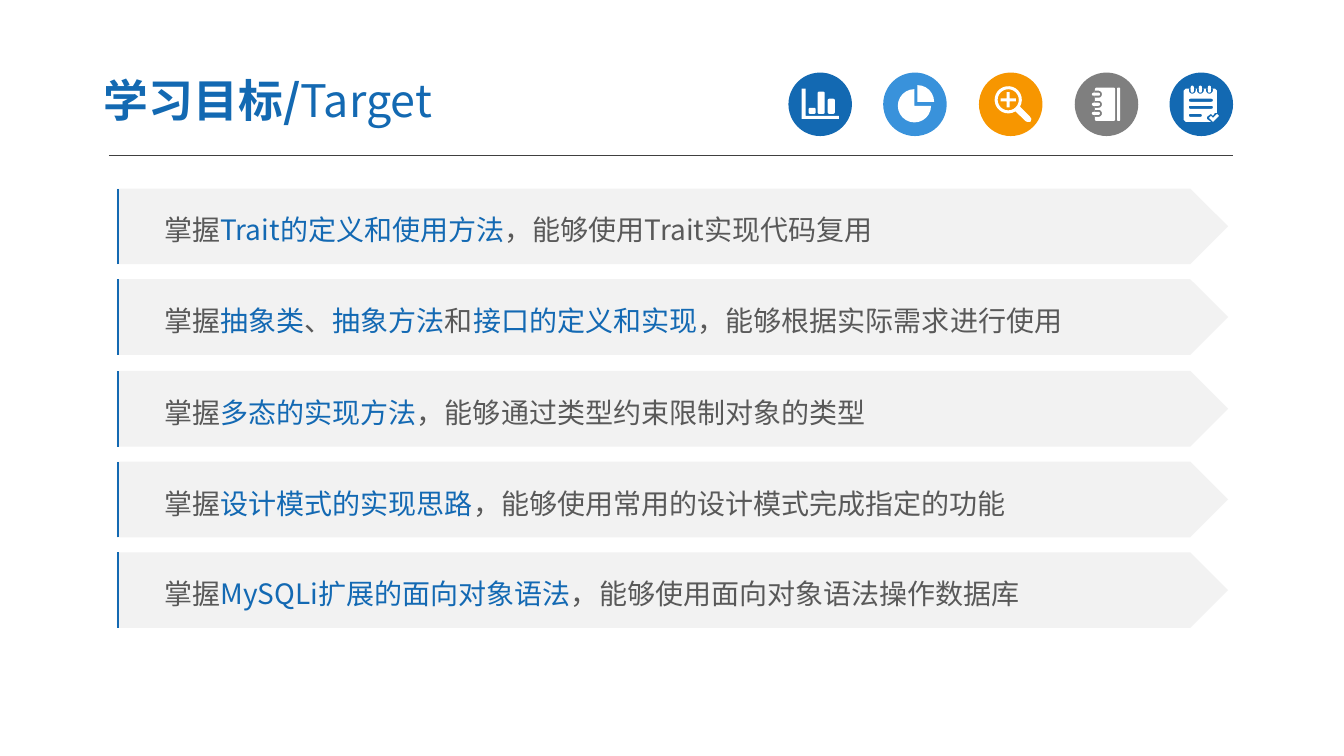
import math

import pptx
import pptx.util
import pptx.dml.color
import pptx.oxml.ns
import pptx.enum.shapes
import pptx.enum.text
from lxml import etree

SCALE = 9144  # EMU per px, 100 px to the inch
FINE = 100  # outline units per px
FONT = "Noto Sans CJK SC"
BLUE, TEXT_BLUE, LIGHT_BLUE = "1369B2", "1369B3", "3992DB"
ORANGE, GRAY, TEXT_GRAY = "F79600", "7F7F7F", "595959"
PALE, WHITE, RULE = "F2F2F2", "FFFFFF", "404040"
PRESET = pptx.enum.shapes.MSO_SHAPE

# Runs between asterisks are emphasised in blue.
TARGETS = [
    "掌握*Trait的定义和使用方法*，能够使用Trait实现代码复用",
    "掌握*抽象类*、*抽象方法*和*接口的定义和实现*，能够根据实际需求进行使用",
    "掌握*多态的实现方法*，能够通过类型约束限制对象的类型",
    "掌握*设计模式的实现思路*，能够使用常用的设计模式完成指定的功能",
    "掌握*MySQLi扩展的面向对象语法*，能够使用面向对象语法操作数据库",
]


def px(length):
    return pptx.util.Emu(length * SCALE)


def rgb(colour):
    return pptx.dml.color.RGBColor.from_string(colour)


def paint(shape, colour):
    """Give a shape a flat fill with no outline or shadow."""
    shape.shadow.inherit = False
    shape.fill.solid()
    shape.fill.fore_color.rgb = rgb(colour)
    shape.line.fill.background()


def add_preset(shapes, preset, box, colour):
    shape = shapes.add_shape(preset, *map(px, box))
    paint(shape, colour)
    return shape


def stroke(shape, colour, width):
    shape.line.color.rgb = rgb(colour)
    shape.line.width = pptx.util.Pt(width)


def add_rule(slide):
    rule = slide.shapes.add_connector(
        pptx.enum.shapes.MSO_CONNECTOR.STRAIGHT,
        *map(px, (108, 154, 1223, 154)))
    stroke(rule, RULE, 0.75)
    etree.SubElement(rule._element.spPr, pptx.oxml.ns.qn("a:effectLst"))


def add_run(paragraph, text, size, colour, bold=False):
    run = paragraph.add_run()
    run.text = text
    run.font.name = FONT
    run.font.size = pptx.util.Pt(size)
    run.font.bold = bold
    run.font.color.rgb = rgb(colour)
    east_asian = etree.SubElement(run.font._element, pptx.oxml.ns.qn("a:ea"))
    east_asian.set("typeface", FONT)


def set_frame(frame, left, top, right, bottom):
    """Wrap the text, centre it vertically and set its margins."""
    frame.word_wrap = True
    frame.vertical_anchor = pptx.enum.text.MSO_ANCHOR.MIDDLE
    frame.margin_left, frame.margin_top = px(left), px(top)
    frame.margin_right, frame.margin_bottom = px(right), px(bottom)


def add_title(slide):
    frame = slide.shapes.add_textbox(*map(px, (89, 63, 522, 72))).text_frame
    set_frame(frame, 14, 7, 13, 7)
    add_run(frame.paragraphs[0], "学习目标/", 32, BLUE, bold=True)
    add_run(frame.paragraphs[0], "Target", 32, BLUE)


def add_target(slide, top, text):
    height = 75
    banner = add_preset(slide.shapes, PRESET.PENTAGON,
                        (116, top, 1102, height), PALE)
    set_frame(banner.text_frame, 47, 5, 10, 5)
    paragraph = banner.text_frame.paragraphs[0]
    paragraph.alignment = pptx.enum.text.PP_ALIGN.LEFT
    paragraph.line_spacing = 1.2
    for index, part in enumerate(text.split("*")):
        add_run(paragraph, part, 20, TEXT_BLUE if index % 2 else TEXT_GRAY)

    builder = slide.shapes.build_freeform(117, top + height, scale=SCALE)
    builder.add_line_segments([(117, top)], close=False)
    builder.move_to(133, top)
    edge = builder.convert_to_shape()
    edge.shadow.inherit = False
    edge.fill.background()
    stroke(edge, BLUE, 1.5)


def arc(x, y, radius, start, end):
    """Points of a clockwise arc; angles in degrees from the right."""
    steps = max(3, math.ceil((end - start) / 15))
    angles = [math.radians(start + (end - start) * i / steps)
              for i in range(steps + 1)]
    return [(x + radius * math.cos(a), y + radius * math.sin(a))
            for a in angles]


def rounded(left, top, width, height, radius):
    right, bottom = left + width - radius, top + height - radius
    left, top = left + radius, top + radius
    return (arc(left, top, radius, 180, 270) + arc(right, top, radius, 270, 360)
            + arc(right, bottom, radius, 0, 90)
            + arc(left, bottom, radius, 90, 180))


def bars():
    axes = [(13, 88), (17, 88), (17, 115), (50, 115), (50, 118), (13, 118)]
    columns = ((20, 6), (29, 22), (39, 15))
    return [axes] + [rounded(left, 113 - height, 7, height, 1.5)
                     for left, height in columns]


def pie():
    return [[(31, 105)] + arc(31, 105, 16.5, 0, 270),
            [(34, 101)] + arc(34, 101, 16.5, 270, 360)]


def magnifier():
    handle = [(50, 115), (52, 118), (51, 121), (48, 121), (46, 120)]
    plus = [(-1.5, -7.5), (1.5, -7.5), (1.5, -1.5), (7.5, -1.5), (7.5, 1.5),
            (1.5, 1.5), (1.5, 7.5), (-1.5, 7.5), (-1.5, 1.5), (-7.5, 1.5),
            (-7.5, -1.5), (-1.5, -1.5)]
    return [arc(29, 99, 13.5, 58, 390) + handle,
            arc(29, 99, 10.5, 0, 360),
            [(29 + x, 99 + y) for x, y in plus]]


def notebook():
    contours = [rounded(20, 87, 20, 33, 1.5), rounded(42, 87, 3, 33, 1)]
    for top in (90, 100, 109):
        contours.append([(20, top)] + arc(23.5, top + 3.5, 3.5, -90, 90)
                        + [(20, top + 7)])
        contours.append(rounded(17, top + 2, 8, 3, 1.5))
    return contours


def checklist():
    page = [(14, 90), (16, 88), (45, 88), (47, 90), (47, 112), (45, 112),
            (43, 115), (41, 113), (37, 116), (37, 118), (41, 121),
            (16, 121), (14, 119)]
    check = [(39, 117), (41, 115), (43, 117), (47, 113), (49, 115), (43, 121)]
    contours = [page, check]
    for left in (19, 27, 36):
        contours.append([(left, 88)] + arc(left + 3.5, 89.5, 3.5, 0, 180)[::-1]
                        + [(left + 7, 88)])
        contours.append(rounded(left + 2, 85, 3, 7, 1.5))
    for top, width in ((98, 24), (105, 24), (113, 13)):
        contours.append(rounded(19, top, width, 3, 1.5))
    return contours


def add_icon(slide, left, colour, contours):
    """Draw a disc and, as one white outline, its symbol."""
    shapes = slide.shapes.add_group_shape().shapes
    add_preset(shapes, PRESET.OVAL, (left, 72, 63, 63), colour)
    builder = None
    for contour in contours:
        points = [((left + x) * FINE, y * FINE) for x, y in contour]
        if builder is None:
            builder = shapes.build_freeform(*points[0], scale=SCALE / FINE)
        else:
            builder.move_to(*points[0])
        builder.add_line_segments(points[1:], close=True)
    paint(builder.convert_to_shape(), WHITE)


def main():
    presentation = pptx.Presentation()
    presentation.slide_width = px(1333)
    presentation.slide_height = px(750)
    slide = presentation.slides.add_slide(presentation.slide_layouts[6])

    add_rule(slide)
    icons = [(BLUE, bars()), (LIGHT_BLUE, pie()), (ORANGE, magnifier()),
             (GRAY, notebook()), (BLUE, checklist())]
    for index, (colour, contours) in enumerate(icons):
        add_icon(slide, 782 + round(index * 94.5), colour, contours)
    add_title(slide)
    for index, text in enumerate(TARGETS):
        add_target(slide, 187 + round(index * 90.3), text)

    presentation.save("out.pptx")


if __name__ == "__main__":
    main()
